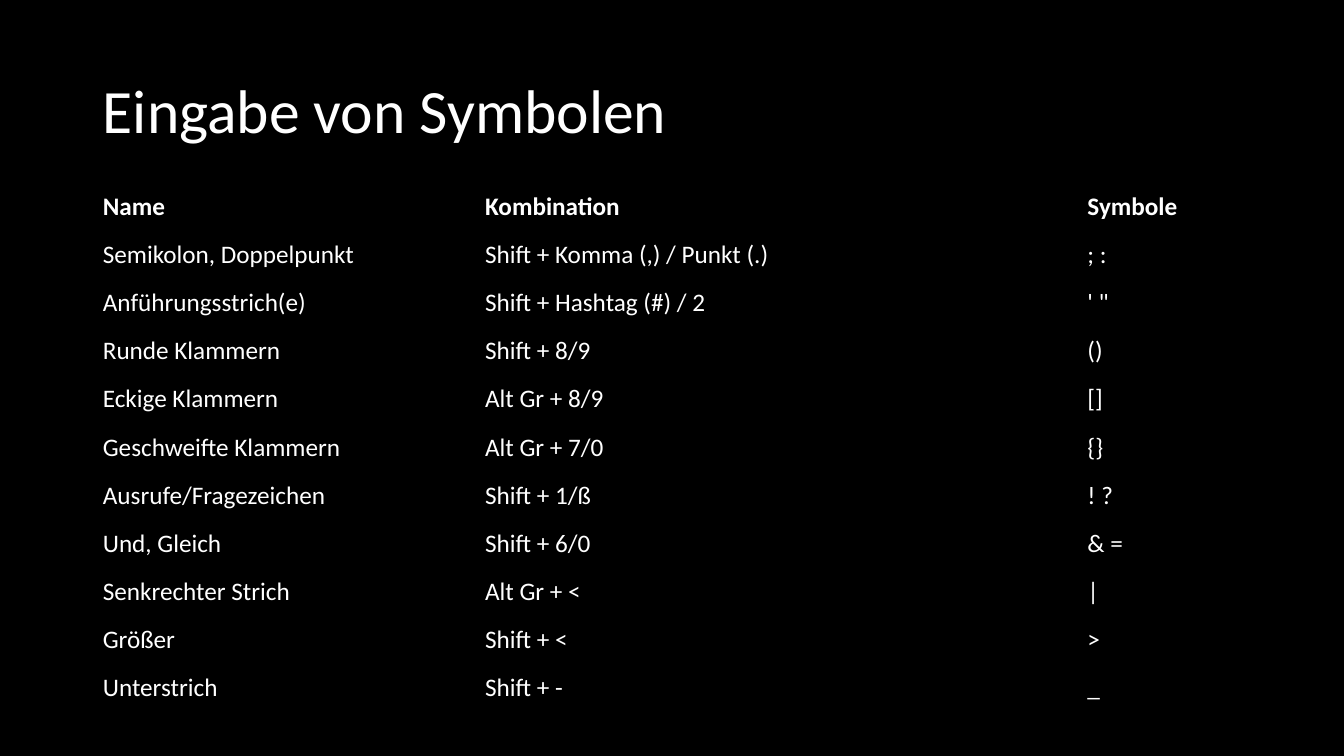
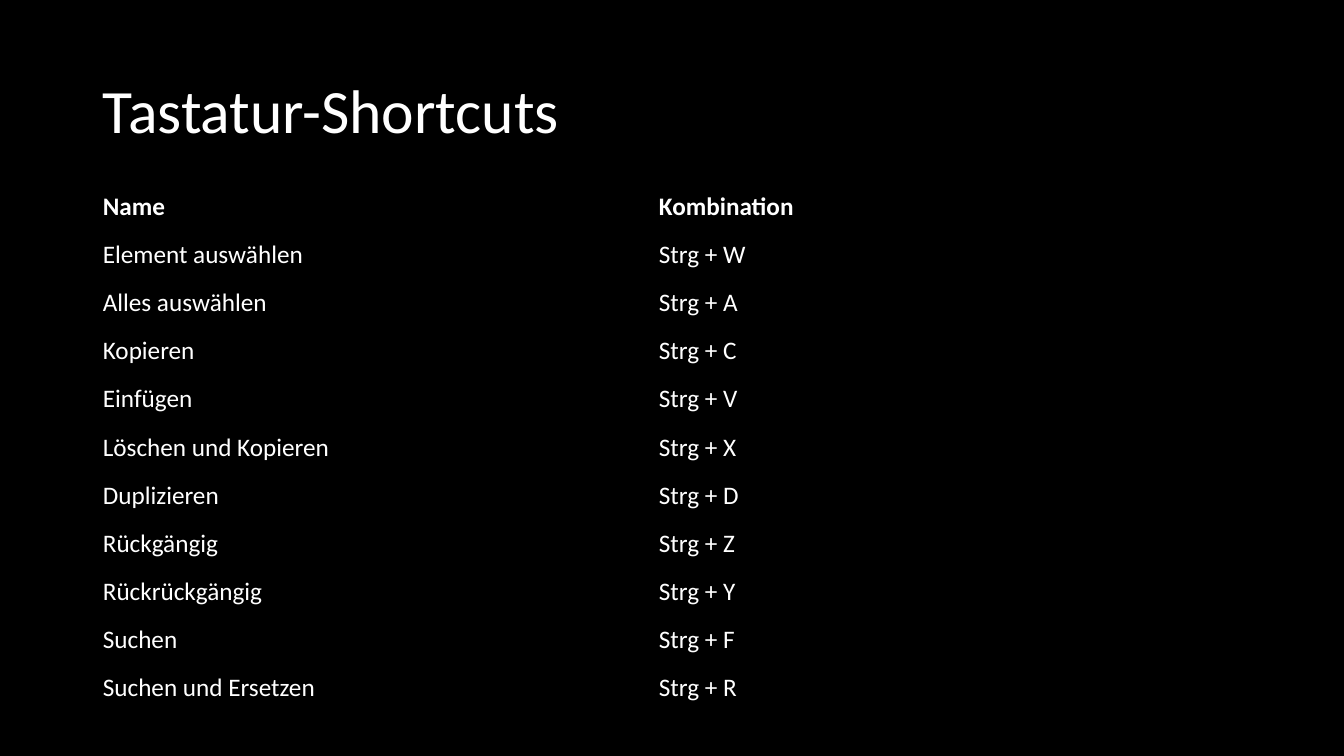
"""Builds two black slides with tables of keyboard symbols and shortcuts."""
import pptx
import pptx.dml.color
import pptx.enum.text
import pptx.util


def rgb(hex_code):
    return pptx.dml.color.RGBColor.from_string(hex_code)


def apply_format(target, values):
    for attribute, value in values.items():
        setattr(target, attribute, value)


BLACK, WHITE = "000000", "FFFFFF"
FONT = "Calibri"
NO_STYLE_NO_GRID = "{2D5ABB26-0587-4C30-8999-92F81FD0307C}"

deck = pptx.Presentation()
deck.slide_width = pptx.util.Inches(13.33)
deck.slide_height = pptx.util.Inches(7.5)

background = deck.slide_master.background.fill
background.solid()
background.fore_color.rgb = rgb(BLACK)

margin = pptx.util.Inches(0.92)
content_width = deck.slide_width - 2 * margin
title_top = pptx.util.Inches(0.4)
table_top = pptx.util.Inches(1.85)
table_height = int(deck.slide_height * 0.7)

title_place = {
    "left": margin,
    "top": title_top,
    "width": content_width,
    "height": table_top - title_top,
}
title_font = {"name": FONT, "size": pptx.util.Pt(44), "bold": False}
title_paragraph = {
    "alignment": pptx.enum.text.PP_ALIGN.LEFT,
    "line_spacing": 0.9,
}
cell_font = {"name": FONT, "size": pptx.util.Pt(18)}

topics = [
    {
        "title": "Eingabe von Symbolen",
        "column_shares": [0.33, 0.52, 0.15],
        "rows": [
            ("Name", "Kombination", "Symbole"),
            ("Semikolon, Doppelpunkt", "Shift + Komma (,) / Punkt (.)", "; :"),
            ("Anführungsstrich(e)", "Shift + Hashtag (#) / 2", "' \""),
            ("Runde Klammern", "Shift + 8/9", "()"),
            ("Eckige Klammern", "Alt Gr + 8/9", "[]"),
            ("Geschweifte Klammern", "Alt Gr + 7/0", "{}"),
            ("Ausrufe/Fragezeichen", "Shift + 1/ß", "! ?"),
            ("Und, Gleich", "Shift + 6/0", "& ="),
            ("Senkrechter Strich", "Alt Gr + <", "|"),
            ("Größer", "Shift + <", ">"),
            ("Unterstrich", "Shift + -", "_"),
        ],
    },
    {
        "title": "Tastatur-Shortcuts",
        "column_shares": [0.48, 0.52],
        "rows": [
            ("Name", "Kombination"),
            ("Element auswählen", "Strg + W"),
            ("Alles auswählen", "Strg + A"),
            ("Kopieren", "Strg + C"),
            ("Einfügen", "Strg + V"),
            ("Löschen und Kopieren", "Strg + X"),
            ("Duplizieren", "Strg + D"),
            ("Rückgängig", "Strg + Z"),
            ("Rückrückgängig", "Strg + Y"),
            ("Suchen", "Strg + F"),
            ("Suchen und Ersetzen", "Strg + R"),
        ],
    },
]

title_only = deck.slide_layouts.get_by_name("Title Only")

for topic in topics:
    slide = deck.slides.add_slide(title_only)

    heading = slide.shapes.title
    apply_format(heading, title_place)
    heading.text_frame.text = topic["title"]
    heading.text_frame.vertical_anchor = pptx.enum.text.MSO_ANCHOR.MIDDLE
    heading_line = heading.text_frame.paragraphs[0]
    apply_format(heading_line, title_paragraph)
    heading_font = heading_line.runs[0].font
    apply_format(heading_font, title_font)
    heading_font.color.rgb = rgb(WHITE)

    rows, shares = topic["rows"], topic["column_shares"]
    key_frame = slide.shapes.add_table(
        len(rows), len(shares), margin, table_top, content_width, table_height
    )
    keys = key_frame.table
    keys.horz_banding = False
    for style_id in key_frame.element.iter(pptx.oxml.ns.qn("a:tableStyleId")):
        style_id.text = NO_STYLE_NO_GRID
    for column, share in zip(keys.columns, shares):
        column.width = int(content_width * share)

    for row_number, row in enumerate(rows):
        for column_number, entry in enumerate(row):
            cell = keys.cell(row_number, column_number)
            cell.fill.background()
            cell.text = entry
            entry_font = cell.text_frame.paragraphs[0].runs[0].font
            apply_format(entry_font, cell_font)
            entry_font.bold = row_number == 0
            entry_font.color.rgb = rgb(WHITE)

deck.save("out.pptx")
